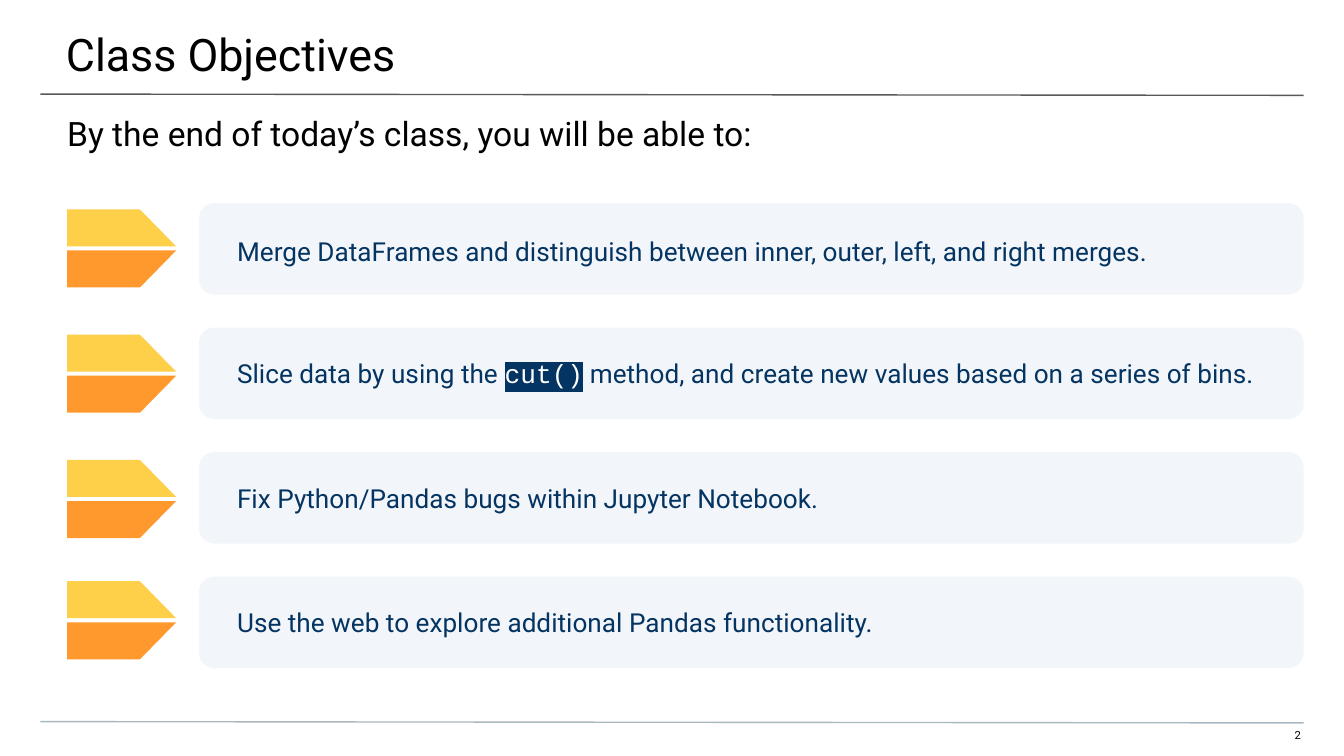
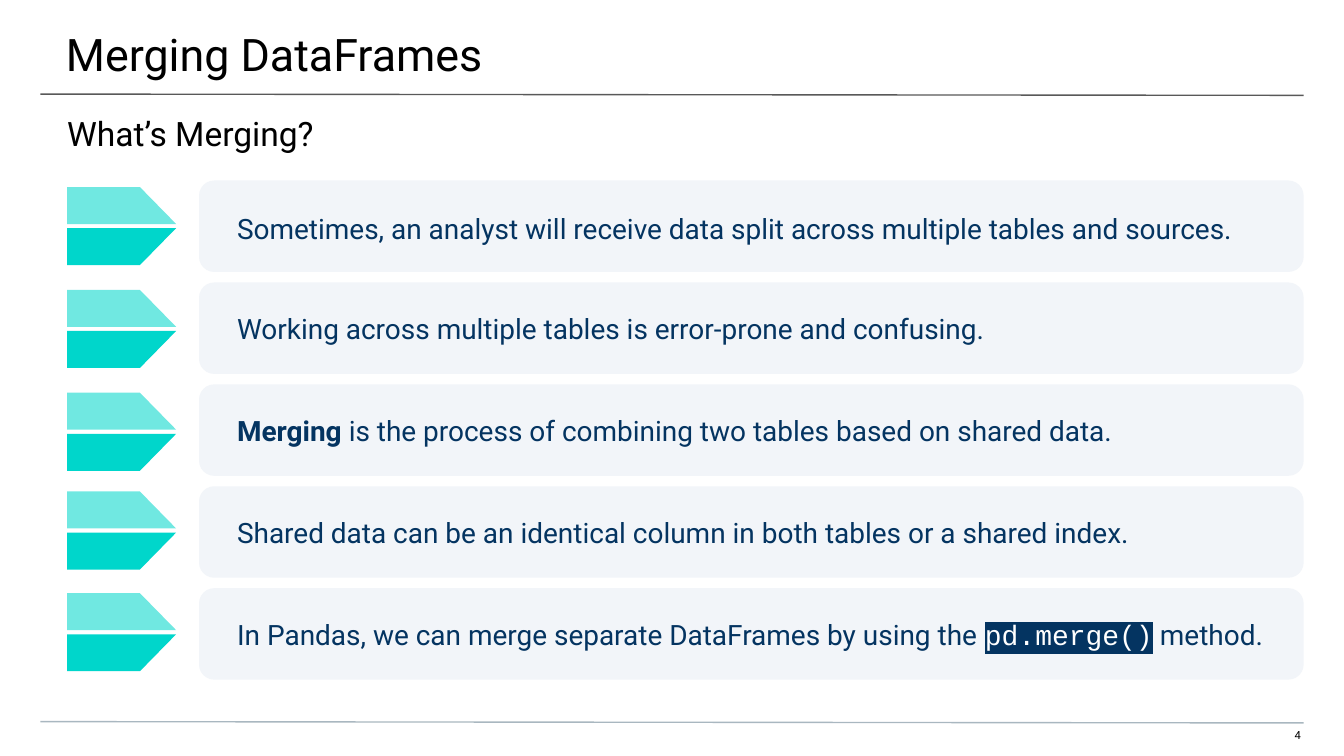
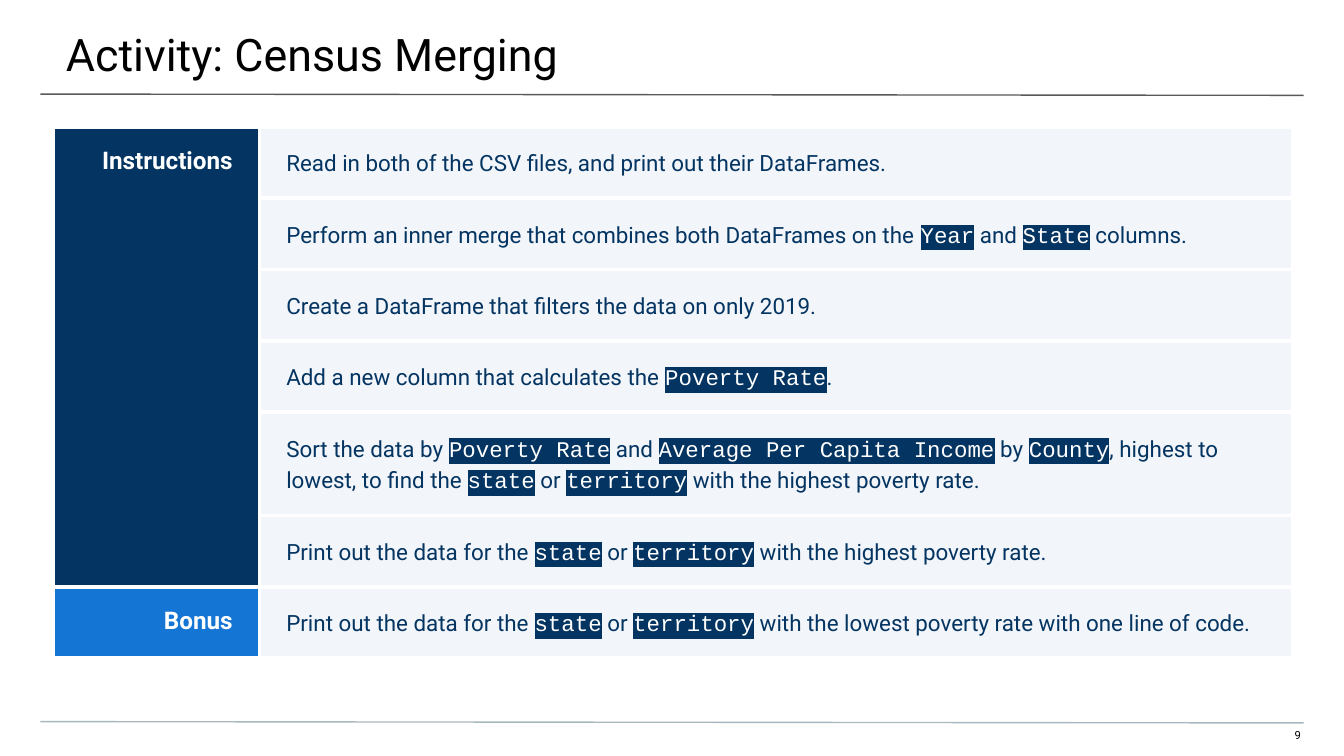
from lxml.etree import SubElement
from pptx import Presentation
from pptx.dml.color import RGBColor
from pptx.enum.shapes import MSO_CONNECTOR, MSO_SHAPE
from pptx.enum.text import MSO_ANCHOR, MSO_AUTO_SIZE, PP_ALIGN
from pptx.oxml.ns import qn
from pptx.util import Pt

COLORS = {
    "black": "000000",
    "white": "FFFFFF",
    "navy": "043461",
    "blue": "1475D4",
    "panel": "F2F5F9",
    "yellow": "FECF48",
    "orange": "FF992D",
    "teal": "00D6CB",
    "title_rule": "595959",
    "footer_rule": "A9B7C0",
}
FONT, CODE_FONT = "Roboto", "Courier New"

OBJECTIVES = {
    "number": 2,
    "title": "Class Objectives",
    "subtitle": "By the end of today’s class, you will be able to:",
    "size": 14,
    "top": 108.8,
    "step": 66.7,
    "arrow_tops": [112.2, 179.3, 246.4, 311.4],
    "arrow_fills": [("yellow", 100), ("orange", 100)],
    "items": [
        "Merge DataFrames and distinguish between inner, outer, left, and right merges.",
        "Slice data by using the `cut()` method, and create new values based on a series of bins.",
        "Fix Python/Pandas bugs within Jupyter Notebook.",
        "Use the web to explore additional Pandas functionality.",
    ],
}
MERGING = {
    "number": 4,
    "title": "Merging DataFrames",
    "subtitle": "What’s Merging?",
    "size": 15,
    "top": 96.7,
    "step": 54.6,
    "arrow_tops": [100.2, 155.3, 210.4, 263.3, 317.8],
    "arrow_fills": [("teal", 56), ("teal", 100)],
    "items": [
        "Sometimes, an analyst will receive data split across multiple tables and sources.",
        "Working across multiple tables is error-prone and confusing.",
        "*Merging *is the process of combining two tables based on shared data.",
        "Shared data can be an identical column in both tables or a shared index.",
        "In Pandas, we can merge separate DataFrames by using the `pd.merge()` method.",
    ],
}
ACTIVITY = {
    "number": 9,
    "title": "Activity: Census Merging",
    "groups": [
        ("Instructions", "navy", [
            (36.7, "Read in both of the CSV files, and print out their DataFrames."),
            (38, "Perform an inner merge that combines both DataFrames on the `Year` and `State` columns."),
            (38, "Create a DataFrame that filters the data on only 2019."),
            (38, "Add a new column that calculates the `Poverty Rate`."),
            (55.5, "Sort the data by `Poverty Rate` and `Average Per Capita Income` by `County`, "
                   "highest to lowest, to find the `state` or `territory` with the highest poverty rate."),
            (38, "Print out the data for the `state` or `territory` with the highest poverty rate."),
        ]),
        ("Bonus", "blue", [
            (38, "Print out the data for the `state` or `territory` with the lowest poverty rate "
                 "with one line of code."),
        ]),
    ],
}


def rgb(name):
    return RGBColor.from_string(COLORS[name])


def set_insets(target, left, top, right, bottom):
    target.margin_left, target.margin_top = Pt(left), Pt(top)
    target.margin_right, target.margin_bottom = Pt(right), Pt(bottom)


def mark_code(span):
    span.font.color.rgb = rgb("white")
    fill = span.font._element.find(qn("a:solidFill"))
    highlight = SubElement(span.font._element, qn("a:highlight"))
    SubElement(highlight, qn("a:srgbClr"), val=COLORS["navy"])
    fill.addnext(highlight)
    span.font.name = CODE_FONT


def write(frame, text, size, color="black", align=PP_ALIGN.LEFT, spacing=None, bold=False):
    frame.word_wrap = True
    para = frame.paragraphs[0]
    para.alignment = align
    if spacing:
        para.line_spacing = spacing
    para.font.name, para.font.size, para.font.bold = FONT, Pt(size), bold
    para.font.color.rgb = rgb(color)
    for part_index, part in enumerate(text.split("`")):
        for piece_index, piece in enumerate(part.split("*")):
            if not piece:
                continue
            span = para.add_run()
            span.text = piece
            if part_index % 2:
                mark_code(span)
            if piece_index % 2:
                span.font.bold = True


def paint(shape, color, opacity=100):
    shape.shadow.inherit = False
    shape.fill.solid()
    shape.fill.fore_color.rgb = rgb(color)
    shape.line.fill.background()
    if opacity < 100:
        tint = shape._element.spPr.find(".//" + qn("a:srgbClr"))
        SubElement(tint, qn("a:alpha"), val=str(opacity * 1000))


def add_text(page, box, insets, text, size, align=PP_ALIGN.LEFT):
    frame = page.shapes.add_textbox(*map(Pt, box)).text_frame
    set_insets(frame, *insets)
    write(frame, text, size, align=align)


def add_rule(page, top, color):
    rule = page.shapes.add_connector(
        MSO_CONNECTOR.STRAIGHT, Pt(21.6), Pt(top), Pt(698.4), Pt(top + 0.7))
    rule.line.color.rgb = rgb(color)
    rule.line.width = Pt(0.75)
    SubElement(rule._element.spPr, qn("a:effectLst"))


def add_page(deck, content):
    page = deck.slides.add_slide(deck.slide_layouts[5])
    add_text(page, (677.5, 390.2, 20.9, 8.6), (0, 0, 1.5, 7.2),
             str(content["number"]), 6, PP_ALIGN.RIGHT)
    add_rule(page, 50.4, "title_rule")
    add_rule(page, 386.6, "footer_rule")
    title = page.shapes.title
    title.left, title.top, title.width, title.height = map(Pt, (-0.7, 0, 722, 41.8))
    frame = title.text_frame
    frame.auto_size = MSO_AUTO_SIZE.NONE
    frame.vertical_anchor = MSO_ANCHOR.TOP
    set_insets(frame, 36, 14.4, 21.6, 7.2)
    write(frame, content["title"], 24)
    return page


def add_arrow(page, top, fills):
    left, width, notch, height, pitch = 36, 58.4, 39, 19.8, 22
    flat_edges = [(top, top + height), (top + pitch + height, top + pitch)]
    for (outer, inner), (color, opacity) in zip(flat_edges, fills):
        outline = page.shapes.build_freeform(Pt(left), Pt(outer))
        corners = [(left, inner), (left + width, inner), (left + notch, outer)]
        outline.add_line_segments([(Pt(x), Pt(y)) for x, y in corners], close=True)
        paint(outline.convert_to_shape(), color, opacity)


def add_list_page(deck, content):
    page = add_page(deck, content)
    add_text(page, (0, 53.3, 720, 28.8), (36, 7.2, 36, 0), content["subtitle"], 18)
    for index, (item, arrow_top) in enumerate(zip(content["items"], content["arrow_tops"])):
        add_arrow(page, arrow_top, content["arrow_fills"])
        top = content["top"] + index * content["step"]
        panel = page.shapes.add_shape(
            MSO_SHAPE.ROUNDED_RECTANGLE, Pt(106.6), Pt(top), Pt(591.8), Pt(49))
        paint(panel, "panel")
        frame = panel.text_frame
        frame.vertical_anchor = MSO_ANCHOR.MIDDLE
        set_insets(frame, 18, 7.2, 7.2, 7.2)
        write(frame, item, content["size"], "navy", spacing=None if index else 1.15)


def style_cell(cell, color):
    properties = cell._tc.get_or_add_tcPr()
    for side in ("lnL", "lnR", "lnT", "lnB"):
        border = SubElement(properties, qn("a:" + side), w=str(Pt(2.25)))
        fill = SubElement(border, qn("a:solidFill"))
        SubElement(fill, qn("a:srgbClr"), val=COLORS["white"])
    cell.fill.solid()
    cell.fill.fore_color.rgb = rgb(color)
    set_insets(cell, 14.4, 10.8, 14.4, 10.8)


def add_table_page(deck, content):
    page = add_page(deck, content)
    groups = content["groups"]
    heights = [height for _, _, steps in groups for height, _ in steps]
    widths = (110.6, 553.8)
    table = page.shapes.add_table(
        len(heights), 2, Pt(28.4), Pt(68), Pt(sum(widths)), Pt(sum(heights))).table
    table.first_row = table.horz_banding = False
    for column, width in zip(table.columns, widths):
        column.width = Pt(width)
    for row, height in zip(table.rows, heights):
        row.height = Pt(height)

    first = 0
    for label, color, steps in groups:
        for index, (_, step) in enumerate(steps, first):
            style_cell(table.cell(index, 0), color)
            step_cell = table.cell(index, 1)
            style_cell(step_cell, "panel")
            write(step_cell.text_frame, step, 12, "navy", spacing=1.15)
        label_cell = table.cell(first, 0)
        if len(steps) > 1:
            label_cell.merge(table.cell(first + len(steps) - 1, 0))
        write(label_cell.text_frame, label, 13, "white", PP_ALIGN.RIGHT, bold=True)
        first += len(steps)


def main():
    deck = Presentation()
    deck.slide_width, deck.slide_height = Pt(720), Pt(405)
    add_list_page(deck, OBJECTIVES)
    add_list_page(deck, MERGING)
    add_table_page(deck, ACTIVITY)
    deck.save("out.pptx")


if __name__ == "__main__":
    main()
